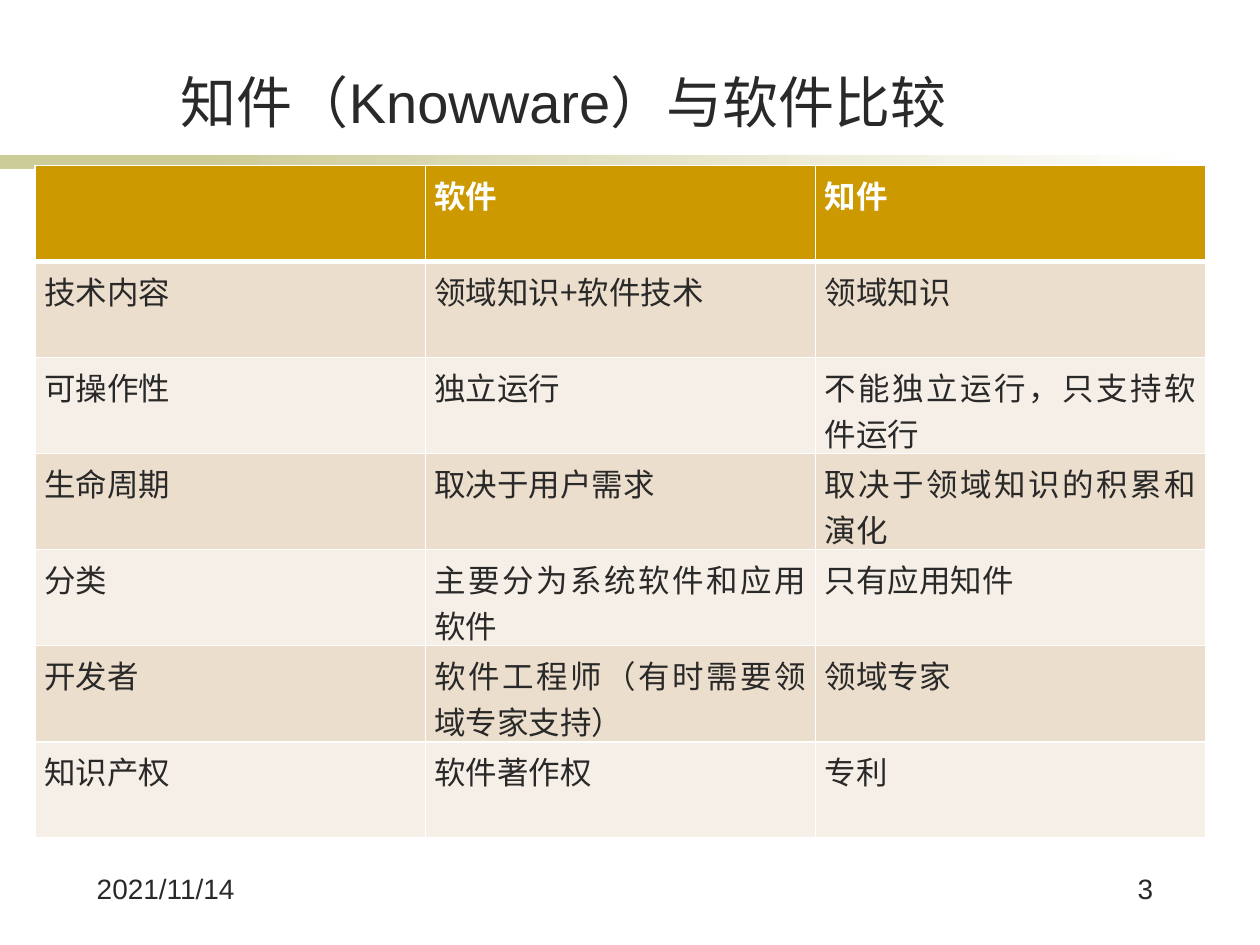
from lxml import etree
from pptx import Presentation
from pptx.dml.color import RGBColor
from pptx.enum import shapes, text
from pptx.oxml import ns
from pptx.util import Pt

# Content
TITLE = "知件（Knowware）与软件比较 "
DATE = "2021/11/14"
PAGE_NUMBER = "3"
ROWS = [
    ("", "软件", "知件"),
    ("技术内容", "领域知识+软件技术", "领域知识"),
    ("可操作性", "独立运行", "不能独立运行，只支持软件运行"),
    ("生命周期", "取决于用户需求", "取决于领域知识的积累和演化"),
    ("分类", "主要分为系统软件和应用软件", "只有应用知件"),
    ("开发者", "软件工程师（有时需要领域专家支持）", "领域专家"),
    ("知识产权", "软件著作权", "专利"),
]
COLORS = {
    "text": "292929", "white": "FFFFFF", "olive": "CCCC99",
    "header": "CC9900", "odd": "ECDECC", "even": "F6EFE7",
}
LATIN, CJK = "Arial", "Noto Sans CJK SC"
COLUMN_WIDTH, ROW_HEIGHT = 223, 54.9


def color(name):
    return RGBColor.from_string(COLORS[name])


def add_run(paragraph, words, size, latin=LATIN, color_name="text", bold=False):
    run = paragraph.add_run()
    run.text = words
    font = run.font
    font.size, font.bold, font.name = Pt(size), bold, latin
    font.color.rgb = color(color_name)
    east_asian = etree.SubElement(font._element, ns.qn("a:ea"))
    east_asian.set("typeface", CJK)


def add_label(slide, box, words, size, alignment, anchor=text.MSO_ANCHOR.TOP, margin=3.6):
    shape = slide.shapes.add_textbox(*map(Pt, box))
    frame = shape.text_frame
    frame.word_wrap = True
    frame.vertical_anchor = anchor
    frame.margin_top = frame.margin_bottom = Pt(margin)
    paragraph = frame.paragraphs[0]
    paragraph.alignment = alignment
    add_run(paragraph, words, size)


def add_bar(slide, left, width):
    shape = slide.shapes.add_shape(
        shapes.MSO_SHAPE.RECTANGLE, Pt(left), Pt(88.6), Pt(width), Pt(7.9))
    shape.shadow.inherit = False
    shape.line.fill.background()
    return shape.fill


def set_borders(cell, bottom_width):
    properties = cell._tc.get_or_add_tcPr()
    widths = {"lnL": 1, "lnR": 1, "lnT": 1, "lnB": bottom_width}
    for position, (side, width) in enumerate(widths.items()):
        line = etree.Element(ns.qn(f"a:{side}"), w=str(Pt(width)))
        fill = etree.SubElement(line, ns.qn("a:solidFill"))
        etree.SubElement(fill, ns.qn("a:srgbClr"), val=COLORS["white"])
        properties.insert(position, line)


def add_comparison(slide):
    columns = len(ROWS[0])
    table = slide.shapes.add_table(
        len(ROWS), columns, Pt(20.1), Pt(94.6),
        Pt(COLUMN_WIDTH * columns), Pt(ROW_HEIGHT * len(ROWS))).table
    for column in table.columns:
        column.width = Pt(COLUMN_WIDTH)
    for r, row in enumerate(ROWS):
        header = r == 0
        table.rows[r].height = Pt(ROW_HEIGHT)
        for c, words in enumerate(row):
            cell = table.cell(r, c)
            cell.margin_left = cell.margin_right = Pt(5.2)
            cell.margin_top = cell.margin_bottom = Pt(3.6)
            cell.fill.solid()
            cell.fill.fore_color.rgb = color(
                "header" if header else "odd" if r % 2 else "even")
            set_borders(cell, 3 if header else 1)
            if words:
                paragraph = cell.text_frame.paragraphs[0]
                paragraph.alignment = text.PP_ALIGN.JUSTIFY
                add_run(paragraph, words, 18, CJK,
                        "white" if header else "text", header)


def main():
    presentation = Presentation()
    presentation.slide_width, presentation.slide_height = Pt(720), Pt(540)
    slide = presentation.slides.add_slide(presentation.slide_layouts[6])

    # Rule under the title: solid, then fading to white
    solid = add_bar(slide, 0, 167.8)
    solid.solid()
    solid.fore_color.rgb = color("olive")
    fade = add_bar(slide, 113.8, 570.2)
    fade.gradient()
    fade.gradient_angle = 0
    for stop, name in zip(fade.gradient_stops, ("olive", "white")):
        stop.color.rgb = color(name)

    # Title and footer
    add_label(slide, (82.1, 31.7, 487.4, 45.4), TITLE, 32,
              text.PP_ALIGN.CENTER, text.MSO_ANCHOR.BOTTOM, 0)
    add_label(slide, (48.2, 494.6, 101.5, 36), DATE, 16, text.PP_ALIGN.LEFT)
    add_label(slide, (592.6, 494.6, 73.4, 36), PAGE_NUMBER, 16, text.PP_ALIGN.RIGHT)

    # Comparison table
    add_comparison(slide)
    presentation.save("out.pptx")


if __name__ == "__main__":
    main()
